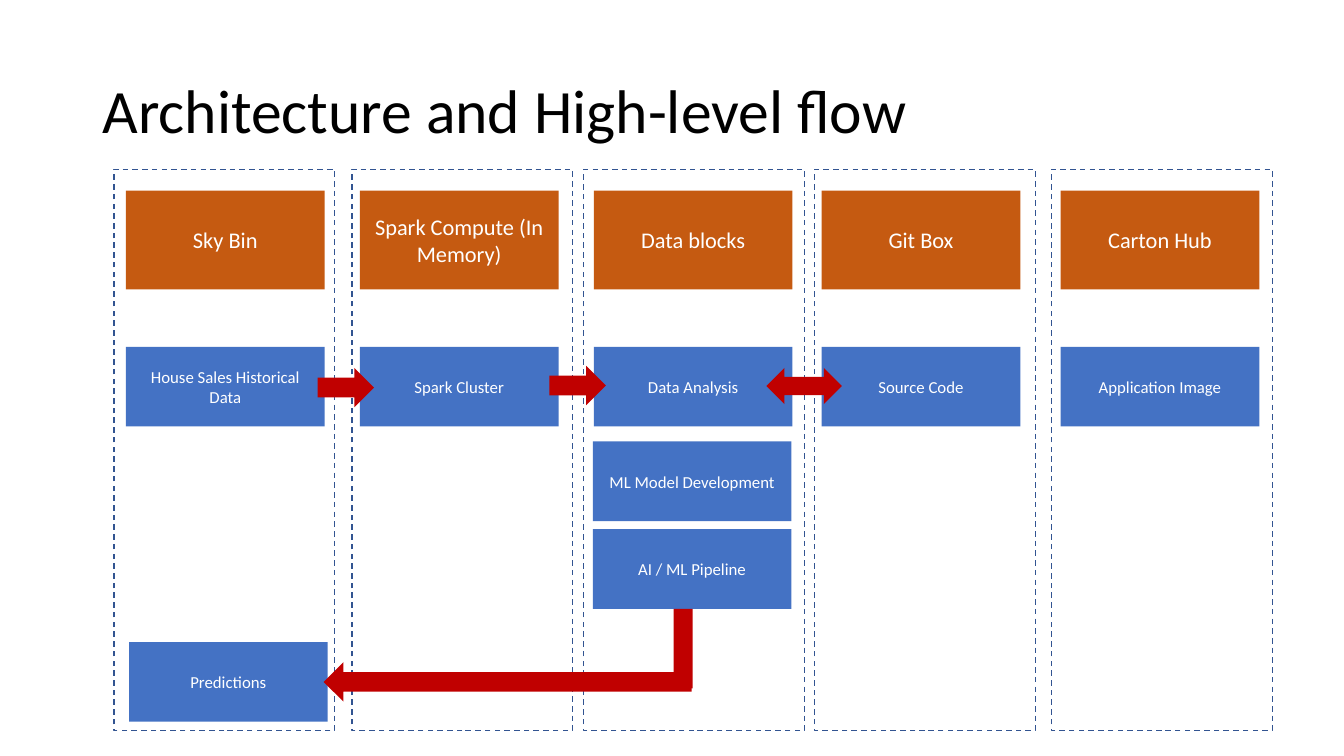
"""Build the architecture and high-level flow slide."""
import pptx
import pptx.util
import pptx.dml.color
import pptx.enum.dml
import pptx.enum.shapes
import pptx.enum.text

SHAPE = pptx.enum.shapes.MSO_SHAPE
ALIGN = pptx.enum.text.PP_ALIGN
MIDDLE = pptx.enum.text.MSO_ANCHOR.MIDDLE
Inches, Pt = pptx.util.Inches, pptx.util.Pt

prs = pptx.Presentation()
prs.slide_width, prs.slide_height = Inches(13.33), Inches(7.5)
s = prs.slides.add_slide(prs.slide_layouts[6])


def rgb(code):
    return pptx.dml.color.RGBColor.from_string(code)


def add_block(kind, box, fill=None, text="", size=12):
    sp = s.shapes.add_shape(kind, *map(Inches, box))
    sp.shadow.inherit = False
    if fill:
        sp.fill.solid()
        sp.fill.fore_color.rgb = rgb(fill)
        sp.line.fill.background()
    else:
        sp.fill.background()
        sp.line.color.rgb = rgb("325491")
        sp.line.width = Pt(1)
        sp.line.dash_style = pptx.enum.dml.MSO_LINE.DASH
    if text:
        tf = sp.text_frame
        tf.word_wrap = True
        tf.vertical_anchor = MIDDLE
        p = tf.paragraphs[0]
        p.text = text
        p.alignment = ALIGN.CENTER
        p.font.name, p.font.size = "Calibri", Pt(size)
        p.font.color.rgb = rgb("FFFFFF")
    return sp


ORANGE, BLUE, RED = "C55A11", "4472C4", "C00000"
LANE_W, BOX_W, HEADER_H, STEP_H = 2.19, 1.97, 0.98, 0.79
LANE_TOP, LANE_H, HEADER_TOP, STEP_TOP = 1.68, 5.57, 1.89, 3.44

lanes = [
    (1.13, 1.25, "Sky Bin", "House Sales Historical Data"),
    (3.49, 3.57, "Spark Compute (In Memory)", "Spark Cluster"),
    (5.79, 5.89, "Data blocks", "Data Analysis"),
    (8.08, 8.15, "Git Box", "Source Code"),
    (10.43, 10.52, "Carton Hub", "Application Image"),
]
for lane_x, box_x, header, step in lanes:
    add_block(SHAPE.RECTANGLE, (lane_x, LANE_TOP, LANE_W, LANE_H))
    add_block(SHAPE.RECTANGLE, (box_x, HEADER_TOP, BOX_W, HEADER_H), ORANGE, header, 16)
    add_block(SHAPE.RECTANGLE, (box_x, STEP_TOP, BOX_W, STEP_H), BLUE, step)

for x, y, step in [
    (5.88, 4.38, "ML Model Development"),
    (5.88, 5.25, "AI / ML Pipeline"),
    (1.28, 6.37, "Predictions"),
]:
    add_block(SHAPE.RECTANGLE, (x, y, BOX_W, STEP_H), BLUE, step)

for kind, box, turn in [
    (SHAPE.RIGHT_ARROW, (3.15, 3.65, 0.56, 0.39), 0),
    (SHAPE.RIGHT_ARROW, (5.45, 3.63, 0.56, 0.39), 0),
    (SHAPE.LEFT_RIGHT_ARROW, (7.6, 3.65, 0.75, 0.36), 0),
    (SHAPE.RIGHT_ARROW, (3.21, 6.57, 3.65, 0.39), 180),
    (SHAPE.RECTANGLE, (6.68, 6.04, 0.19, 0.79), 0),
]:
    add_block(kind, box, RED).rotation = turn

title = s.shapes.add_textbox(*map(Inches, (0.92, 0.4, 11.5, 1.45)))
tf = title.text_frame
tf.word_wrap = True
tf.vertical_anchor = MIDDLE
p = tf.paragraphs[0]
p.text = "Architecture and High-level flow"
p.line_spacing = 0.9
p.font.name, p.font.size = "Calibri", Pt(44)
p.font.color.rgb = rgb("000000")

prs.save("out.pptx")
